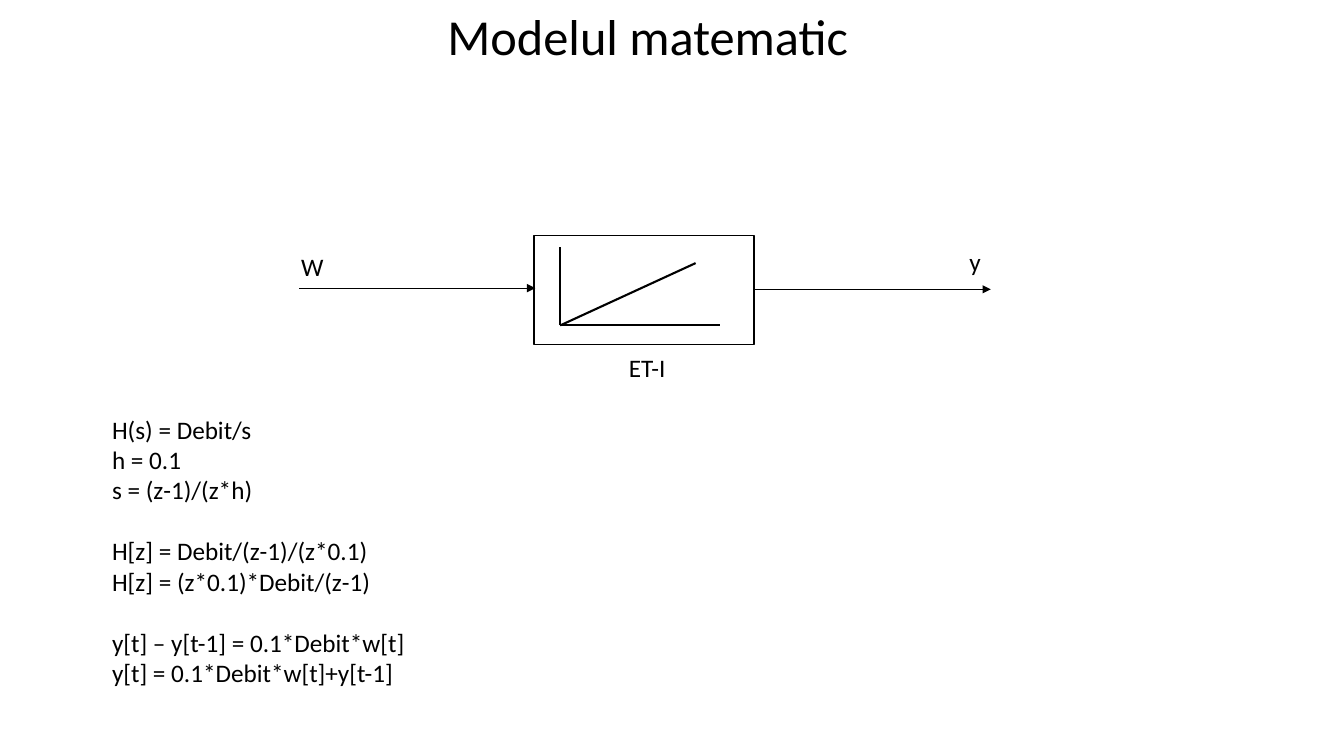
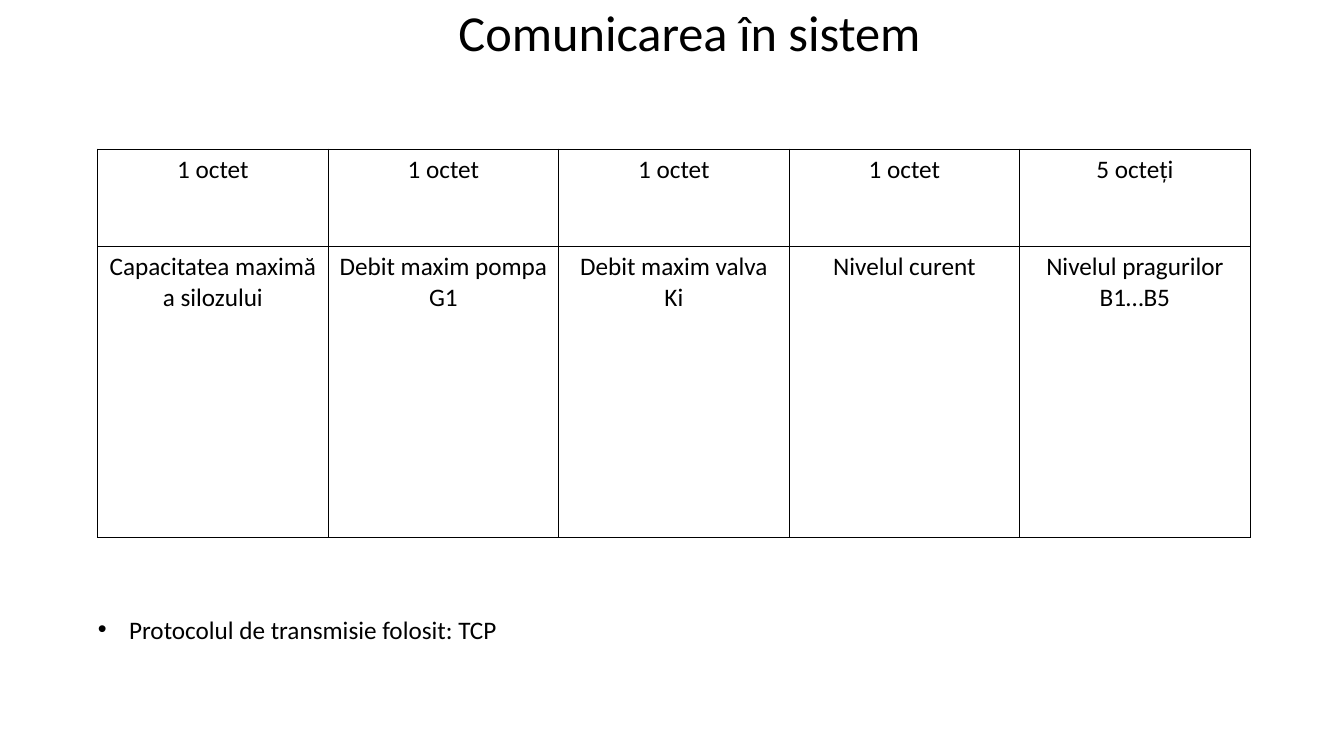
from lxml import etree
from pptx import Presentation
from pptx.dml.color import RGBColor
from pptx.enum.shapes import MSO_CONNECTOR, MSO_SHAPE
from pptx.enum.text import MSO_ANCHOR, MSO_AUTO_SIZE, PP_ALIGN
from pptx.oxml.ns import qn
from pptx.util import Cm, Pt

BLACK = RGBColor(0x00, 0x00, 0x00)
WHITE = RGBColor(0xFF, 0xFF, 0xFF)
FONT = "Calibri"
TITLE_SIZE = 36
TEXT_SIZE = 18
STRAIGHT = MSO_CONNECTOR.STRAIGHT
RECTANGLE = MSO_SHAPE.RECTANGLE
LEFT, CENTER = PP_ALIGN.LEFT, PP_ALIGN.CENTER
TOP, BOTTOM = MSO_ANCHOR.TOP, MSO_ANCHOR.BOTTOM
NO_FIT = MSO_AUTO_SIZE.NONE


def write(frame, text, size=TEXT_SIZE, align=LEFT):
    """Fill a text frame, one paragraph per line, in the deck's text style."""
    frame.text = text
    for para in frame.paragraphs:
        para.alignment = align
        para.space_before = Pt(0)
        for span in para.runs:
            span.font.name = FONT
            span.font.size = Pt(size)
            span.font.color.rgb = BLACK


def place(shape, left, top, width, height):
    shape.left, shape.top = Cm(left), Cm(top)
    shape.width, shape.height = Cm(width), Cm(height)


deck = Presentation()
deck.slide_width, deck.slide_height = Cm(33.87), Cm(19.05)
layout = deck.slide_layouts.get_by_name("Title and Content")

# Both pages: title and body text
EQUATIONS = """H(s) = Debit/s
h = 0.1
s = (z-1)/(z*h)
H[z] = Debit/(z-1)/(z*0.1)
H[z] = (z*0.1)*Debit/(z-1)
y[t] – y[t-1] = 0.1*Debit*w[t]
y[t] = 0.1*Debit*w[t]+y[t-1]"""
PAGES = [
    ("Modelul matematic", (11.02, 0, 11.76, 1.8), TOP,
     EQUATIONS, (2.57, 10.31, 8.41, 7.95)),
    ("Comunicarea în sistem", (11.3, 0, 12.37, 1.7), BOTTOM,
     "Protocolul de transmisie folosit: TCP", (2.21, 15.34, 10.85, 1.02)),
]
for title_text, title_area, anchor, body_text, body_area in PAGES:
    page = deck.slides.add_slide(layout)
    title, body = page.shapes.title, page.placeholders[1]
    place(title, *title_area)
    place(body, *body_area)
    write(title.text_frame, title_text, TITLE_SIZE)
    write(body.text_frame, body_text)
    title.text_frame.vertical_anchor = anchor
    for box in (title, body):
        box.text_frame.auto_size = NO_FIT

model_page, message_page = deck.slides

# Equations: no bullets, a line's gap before each new group
equations = model_page.placeholders[1].text_frame.paragraphs
for para in equations:
    properties = para._p.get_or_add_pPr()
    properties.set("marL", "0")
    properties.set("indent", "0")
    etree.SubElement(properties, qn("a:buNone"))
for group_start in (3, 5):
    equations[group_start].space_before = Pt(22)

# Block diagram of the integrator
block = model_page.shapes.add_shape(RECTANGLE, Cm(13.46), Cm(5.94), Cm(5.54), Cm(2.74))
block.shadow.inherit = False
block.fill.solid()
block.fill.fore_color.rgb = WHITE
block.line.color.rgb = BLACK
block.line.width = Pt(1)

ORIGIN = (14.12, 8.2)
LINES = [
    ((7.54, 7.26), (13.49, 7.26), 0.5, True),
    ((19.02, 7.29), (24.97, 7.29), 0.5, True),
    (ORIGIN, (14.12, 6.22), 1.5, False),
    (ORIGIN, (18.14, 8.2), 1.5, False),
    (ORIGIN, (17.53, 6.63), 1.5, False),
]
for start, end, weight, has_arrow in LINES:
    line = model_page.shapes.add_connector(STRAIGHT, *map(Cm, start + end))
    line.line.color.rgb = BLACK
    line.line.width = Pt(weight)
    if has_arrow:
        etree.SubElement(line.line._get_or_add_ln(), qn("a:tailEnd"), type="triangle")
    etree.SubElement(line._element.spPr, qn("a:effectLst"))

LABELS = [("ET-I", 15.6, 8.76, 1.5), ("W", 7.34, 6.2, 1.09), ("y", 24.18, 6.07, 0.81)]
for text, left, top, width in LABELS:
    label = model_page.shapes.add_textbox(Cm(left), Cm(top), Cm(width), Cm(1.02))
    label.text_frame.word_wrap = False
    write(label.text_frame, text)

# Message layout: size of each field above its meaning
FIELDS = [
    ("1 octet", "Capacitatea maximă a silozului"),
    ("1 octet", "Debit maxim pompa G1"),
    ("1 octet", "Debit maxim valva Ki"),
    ("1 octet", "Nivelul curent"),
    ("5 octeți", "Nivelul pragurilor B1…B5"),
]
ROW_HEIGHTS = (2.45, 7.33)
COLUMN_WIDTH = 5.81
table = message_page.shapes.add_table(
    len(ROW_HEIGHTS), len(FIELDS), Cm(2.46), Cm(3.76),
    Cm(COLUMN_WIDTH * len(FIELDS)), Cm(sum(ROW_HEIGHTS))).table
table.first_row = table.horz_banding = False
for row, height in zip(table.rows, ROW_HEIGHTS):
    row.height = Cm(height)
for column, field in enumerate(FIELDS):
    table.columns[column].width = Cm(COLUMN_WIDTH)
    for row, text in enumerate(field):
        cell = table.cell(row, column)
        write(cell.text_frame, text, align=CENTER)
        for side in ("a:lnL", "a:lnR", "a:lnT", "a:lnB"):
            border = etree.SubElement(cell._tc.get_or_add_tcPr(), qn(side), w=str(Pt(1)))
            fill = etree.SubElement(border, qn("a:solidFill"))
            etree.SubElement(fill, qn("a:srgbClr"), val=str(BLACK))
        cell.fill.background()

# Transmission protocol: hanging bullet
protocol = message_page.placeholders[1].text_frame.paragraphs[0]
properties = protocol._p.get_or_add_pPr()
properties.set("marL", str(Cm(0.79)))
properties.set("indent", str(-Cm(0.79)))

# Title of the second page is set a little tighter
message_title = message_page.shapes.title.text_frame.paragraphs[0]
message_title.line_spacing = 0.9
message_title.space_after = Pt(6)

deck.save("out.pptx")
